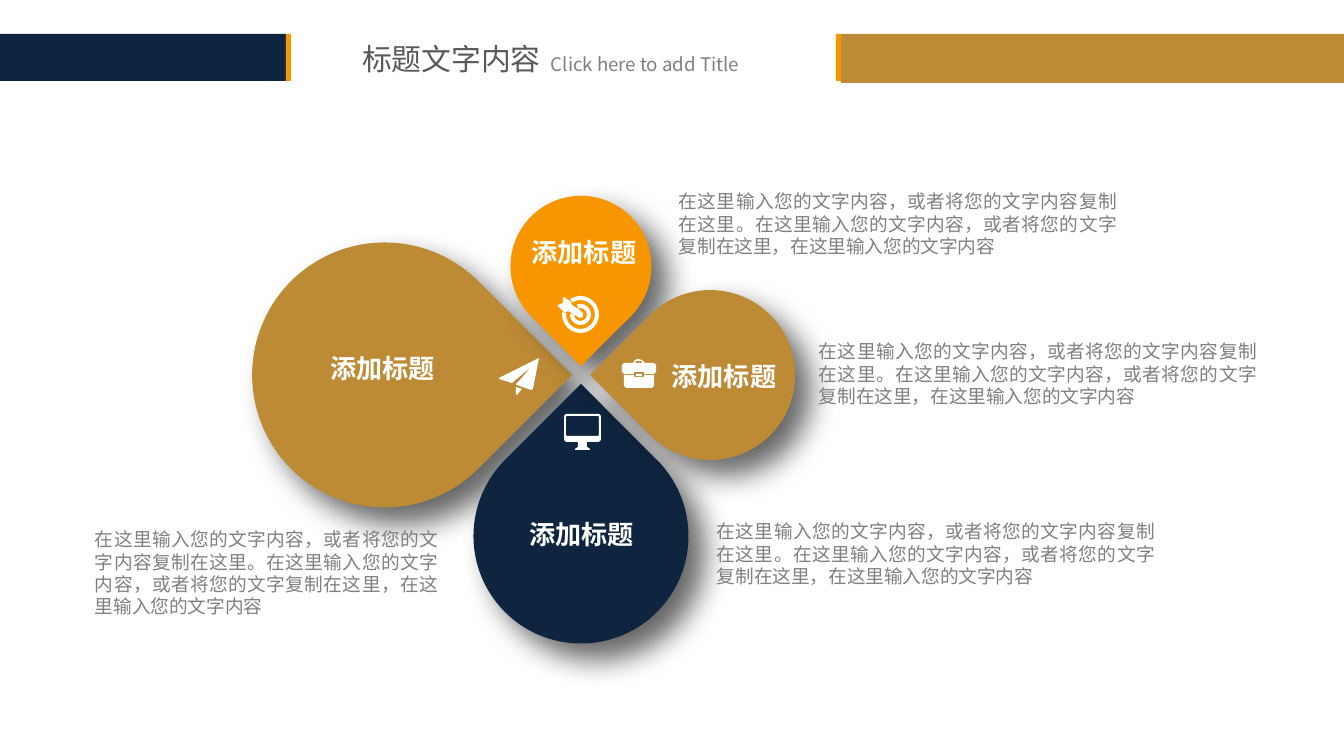
"""Builds a slide with four coloured petals meeting at a hub, each with an icon, label and text."""
from math import sqrt

from lxml import etree
from pptx import Presentation
from pptx.dml.color import RGBColor
from pptx.enum.shapes import MSO_SHAPE
from pptx.enum.text import MSO_ANCHOR, PP_ALIGN
from pptx.oxml.ns import qn
from pptx.util import Emu, Pt

PX = 914400 / 134.4
FONT = "Noto Sans CJK SC"
NAVY = RGBColor(0x0F, 0x24, 0x3E)
GOLD = RGBColor(0xBD, 0x8B, 0x36)
ORANGE = RGBColor(0xF7, 0x96, 0x00)
WHITE = RGBColor(0xFF, 0xFF, 0xFF)
DARK_GREY = RGBColor(0x59, 0x59, 0x59)
GREY = RGBColor(0x80, 0x80, 0x80)

HUB_X, HUB_Y, HUB_GAP = 581, 375, 9
LABEL = "添加标题"
BODY = ("在这里输入您的文字内容，或者将您的文字内容复制在这里。"
        "在这里输入您的文字内容，或者将您的文字复制在这里，在这里输入您的文字内容")

BANDS = [(841, 34, 503, 49, GOLD), (0, 34, 286, 47, NAVY),
         (836, 34, 5, 47, ORANGE), (286, 34, 5, 47, ORANGE)]
PETALS = [(-1, 0, 265, 45, GOLD), (0, 1, 215, 315, NAVY),
          (0, -1, 141, 135, ORANGE), (1, 0, 170, 225, GOLD)]
LABELS = [(516, 231, 136), (501, 513, 161), (273, 347, 219), (656, 355, 136)]
BODIES = [(809, 335, 458, 78), (669, 185, 458, 78), (707, 515, 458, 78), (85, 523, 363, 101)]

PLANE = [
    [(531, 367), (512, 383), (499, 379), (499, 378), (539, 358), (533, 389), (531, 390),
     (517, 385), (516, 384), (520, 380)],
    [(516, 387), (522, 389), (517, 395), (516, 394)],
]
DART = [
    [(580, 318), (568, 311), (566, 312), (564, 312), (558, 306), (558, 305), (563, 303),
     (563, 298), (564, 297), (571, 302), (572, 305), (580, 310), (583, 313), (583, 317)],
]
MONITOR = [
    [(566, 414), (599, 414), (601, 416), (601, 440), (599, 442), (587, 442), (587, 447),
     (590, 449), (590, 450), (575, 450), (575, 449), (578, 447), (578, 442), (566, 442),
     (564, 440), (564, 416)],
    [(567, 416), (566, 417), (566, 435), (567, 436), (598, 436), (599, 435), (599, 417),
     (598, 416)],
]
BRIEFCASE = [
    [(624, 375), (634, 375), (634, 377), (644, 377), (644, 375), (654, 375), (654, 386),
     (652, 388), (626, 388), (624, 386)],
    [(644, 374), (644, 372), (634, 372), (634, 374), (624, 374), (622, 372), (622, 365),
     (624, 363), (633, 363), (635, 360), (638, 359), (642, 360), (645, 363), (654, 363),
     (656, 365), (656, 372), (654, 374)],
    [(635, 363), (643, 363), (641, 361), (636, 361)],
    [(636, 374), (642, 374), (642, 376), (636, 376)],
]
TARGET_RINGS = [(562, 296, 37, 4, 236, 187), (570, 304, 21, 4, 250, 183)]


def px(*lengths):
    """Turn pixel lengths into EMU."""
    return [Emu(round(length * PX)) for length in lengths]


def paint(shape, color):
    """Give a shape a plain fill without outline or shadow."""
    shape.shadow.inherit = False
    shape.fill.solid()
    shape.fill.fore_color.rgb = color
    shape.line.fill.background()


def add_preset(slide, kind, left, top, width, height, color):
    """Add a flat preset shape."""
    shape = slide.shapes.add_shape(kind, *px(left, top, width, height))
    paint(shape, color)
    return shape


def add_petal(slide, step_x, step_y, diameter, rotation, color):
    """Add a shadowed teardrop whose tip points at the hub."""
    reach = HUB_GAP + diameter / sqrt(2)
    left = HUB_X + step_x * reach - diameter / 2
    top = HUB_Y + step_y * reach - diameter / 2
    petal = add_preset(slide, MSO_SHAPE.TEAR, left, top, diameter, diameter, color)
    petal.rotation = rotation
    effects = petal._element.spPr.find(qn("a:effectLst"))
    shadow = etree.SubElement(effects, qn("a:outerShdw"), blurRad=str(Pt(16)),
                              dist=str(Pt(12)), dir="2700000", algn="tl", rotWithShape="0")
    black = etree.SubElement(shadow, qn("a:srgbClr"), val="000000")
    etree.SubElement(black, qn("a:alpha"), val="60000")


def add_icon(slide, contours):
    """Add a white outline made of one or more closed contours."""
    first, *others = contours
    builder = slide.shapes.build_freeform(*first[0], scale=PX)
    builder.add_line_segments(first[1:], close=True)
    for contour in others:
        builder.move_to(*contour[0])
        builder.add_line_segments(contour[1:], close=True)
    paint(builder.convert_to_shape(), WHITE)


def add_ring(slide, left, top, diameter, thickness, start, end):
    """Add a white open ring running clockwise between two angles."""
    ring = add_preset(slide, MSO_SHAPE.BLOCK_ARC, left, top, diameter, diameter, WHITE)
    ring.adjustments[0] = start * 0.6
    ring.adjustments[1] = end * 0.6
    ring.adjustments[2] = thickness / diameter


def write(shape, text, size, color, align, inset, bold=False, wrap=True, anchor=MSO_ANCHOR.TOP):
    """Fill a shape with one formatted paragraph."""
    frame = shape.text_frame
    frame.word_wrap = wrap
    frame.vertical_anchor = anchor
    frame.margin_left, frame.margin_top, frame.margin_right, frame.margin_bottom = px(*inset * 2)
    frame.text = text
    paragraph = frame.paragraphs[0]
    paragraph.alignment = align
    font = paragraph.font
    font.name, font.size, font.bold = FONT, Pt(size), bold
    font.color.rgb = color
    etree.SubElement(paragraph._p.pPr.find(qn("a:defRPr")), qn("a:ea"), typeface=FONT)


def add_text(slide, left, top, width, height, *args, **kwargs):
    """Add a text box and write into it."""
    write(slide.shapes.add_textbox(*px(left, top, width, height)), *args, **kwargs)


def add_header(slide):
    """Place the bands, the title and its subtitle."""
    for band in BANDS:
        add_preset(slide, MSO_SHAPE.RECTANGLE, *band)
    title = slide.shapes.title
    title.left, title.top, title.width, title.height = px(349, 34, 223, 49)
    write(title, "标题文字内容", 16, DARK_GREY, PP_ALIGN.LEFT, (13, 7), wrap=False)
    add_text(slide, 538, 46, 227, 36, "Click here to add Title", 10, GREY, PP_ALIGN.LEFT,
             (13, 7), wrap=False)


def main():
    """Build and save the slide."""
    deck = Presentation()
    deck.slide_width, deck.slide_height = px(1344, 756)
    slide = deck.slides.add_slide(deck.slide_layouts[5])
    add_header(slide)
    for petal in PETALS:
        add_petal(slide, *petal)
    for place in BODIES:
        add_text(slide, *place, BODY, 10, GREY, PP_ALIGN.JUSTIFY, (10, 5))
    for ring in TARGET_RINGS:
        add_ring(slide, *ring)
    for icon in (PLANE, DART, MONITOR, BRIEFCASE):
        add_icon(slide, icon)
    for left, top, width in LABELS:
        add_text(slide, left, top, width, 42, LABEL, 14, WHITE, PP_ALIGN.CENTER, (10, 5),
                 bold=True)
    deck.save("out.pptx")


if __name__ == "__main__":
    main()
